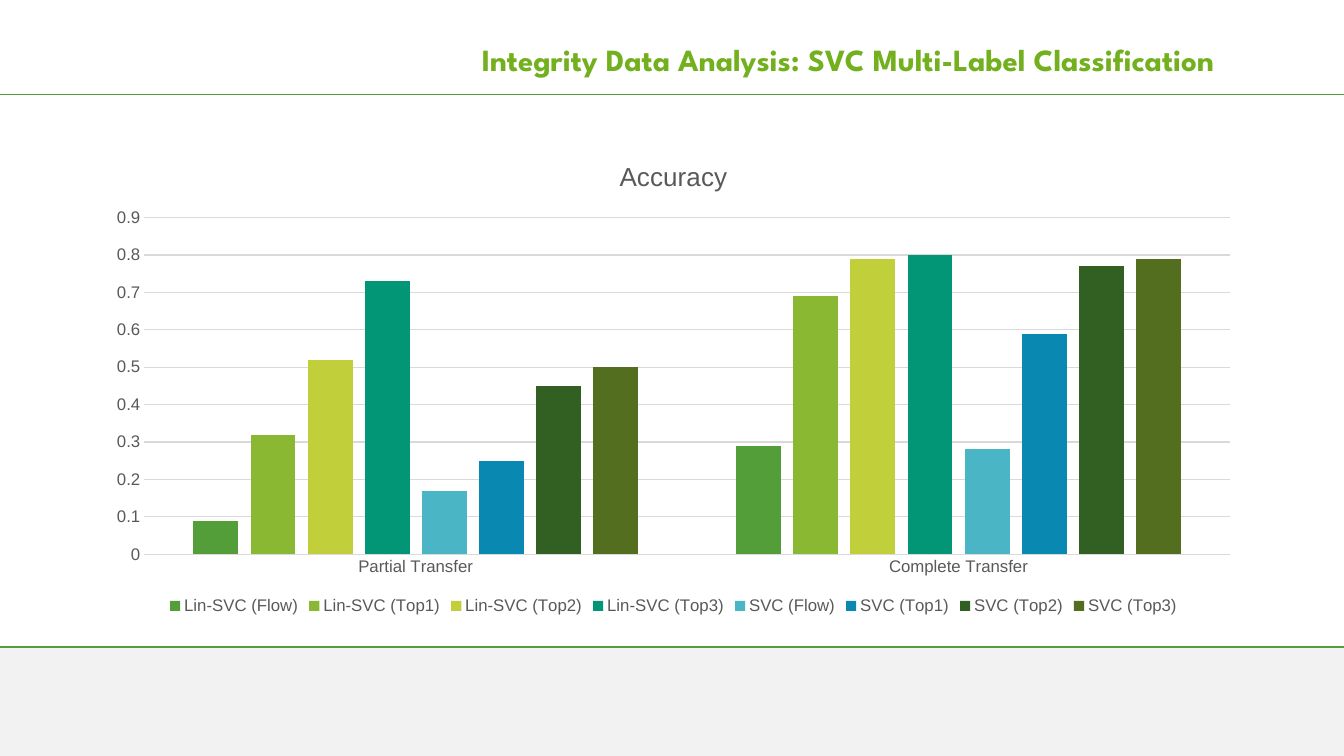
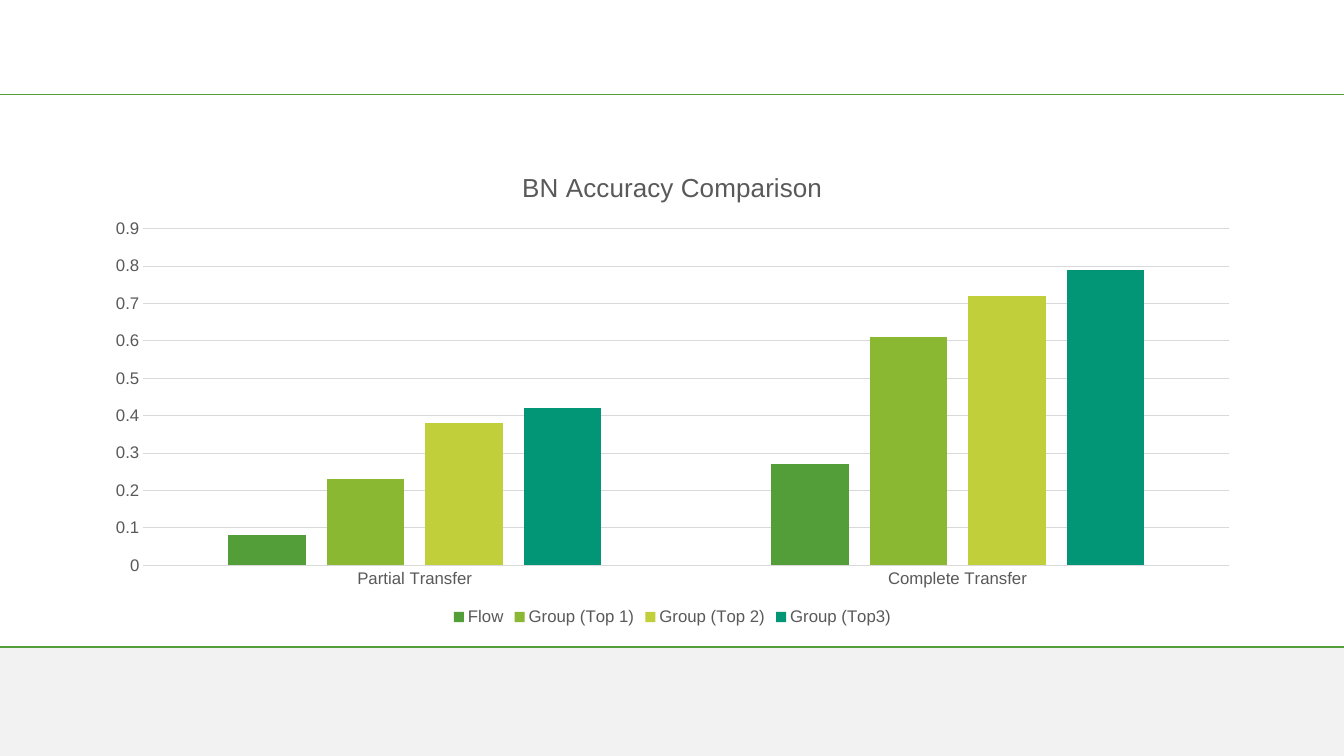
from lxml.etree import SubElement
from pptx import Presentation
from pptx.chart.data import CategoryChartData
from pptx.dml.color import RGBColor
from pptx.enum.chart import XL_CHART_TYPE, XL_LEGEND_POSITION, XL_TICK_MARK
from pptx.enum.shapes import MSO_CONNECTOR, MSO_SHAPE
from pptx.enum.text import MSO_ANCHOR, PP_ALIGN
from pptx.oxml.ns import qn
from pptx.util import Inches, Pt

GREEN, TITLE_GREEN, BAND_GREY = "549E39", "73B01E", "F2F2F2"
TEXT_GREY, GRID_GREY = "595959", "D9D9D9"
SERIES_COLOURS = [GREEN, "8AB833", "C0CF3A", "029676",
                  "4AB5C4", "0989B1", "325F22", "536E1F"]
TRANSFERS = ["Partial Transfer", "Complete Transfer"]
HEADER_Y, FOOTER_Y = Inches(0.94), Inches(6.42)

SLIDES = [
    {
        "heading": "Integrity Data Analysis: SVC Multi-Label Classification",
        "chart_title": "Accuracy",
        "corner": (0.93, 1.38),
        "accuracy": {
            "Lin-SVC (Flow)": (0.09, 0.29),
            "Lin-SVC (Top1)": (0.32, 0.69),
            "Lin-SVC (Top2)": (0.52, 0.79),
            "Lin-SVC (Top3)": (0.73, 0.8),
            "SVC (Flow)": (0.17, 0.28),
            "SVC (Top1)": (0.25, 0.59),
            "SVC (Top2)": (0.45, 0.77),
            "SVC (Top3)": (0.5, 0.79),
        },
    },
    {
        "heading": None,
        "chart_title": "BN Accuracy Comparison",
        "corner": (0.92, 1.49),
        "accuracy": {
            "Flow": (0.08, 0.27),
            "Group (Top 1)": (0.23, 0.61),
            "Group (Top 2)": (0.38, 0.72),
            "Group (Top3)": (0.42, 0.79),
        },
    },
]


def colour(hex_string):
    return RGBColor.from_string(hex_string)


def style_font(font, size, hex_string, name="Arial", bold=False):
    values = {"size": Pt(size), "name": name, "bold": bold}
    for attribute, value in values.items():
        setattr(font, attribute, value)
    font.color.rgb = colour(hex_string)


deck = Presentation()
deck.slide_width, deck.slide_height = Inches(13.33), Inches(7.5)
blank = deck.slide_layouts[6]

for content in SLIDES:
    slide = deck.slides.add_slide(blank)

    # Footer band and the two rules
    band = slide.shapes.add_shape(MSO_SHAPE.RECTANGLE, 0, FOOTER_Y,
                                  deck.slide_width, deck.slide_height - FOOTER_Y)
    band.shadow.inherit = False
    band.fill.solid()
    band.fill.fore_color.rgb = colour(BAND_GREY)
    band.line.fill.background()
    for y in (FOOTER_Y, HEADER_Y):
        rule = slide.shapes.add_connector(MSO_CONNECTOR.STRAIGHT, 0, y,
                                          deck.slide_width, y)
        rule.line.color.rgb = colour(GREEN)
        rule.line.width = Pt(1)
        SubElement(rule._element.spPr, qn("a:effectLst"))

    # Accuracy chart
    data = CategoryChartData()
    data.categories = TRANSFERS
    for name, values in content["accuracy"].items():
        data.add_series(name, values)
    left, top = content["corner"]
    chart = slide.shapes.add_chart(XL_CHART_TYPE.COLUMN_CLUSTERED, Inches(left),
                                   Inches(top), Inches(11.5), Inches(4.76),
                                   data).chart
    style_font(chart.font, 12, TEXT_GREY)

    chart.has_title = True
    chart_title = chart.chart_title
    chart_title.include_in_layout = False
    chart_title.text_frame.text = content["chart_title"]
    style_font(chart_title.text_frame.paragraphs[0].runs[0].font, 18.6, TEXT_GREY)

    chart.has_legend = True
    chart.legend.position = XL_LEGEND_POSITION.BOTTOM
    chart.legend.include_in_layout = False
    style_font(chart.legend.font, 12, TEXT_GREY)

    for axis in (chart.category_axis, chart.value_axis):
        axis.major_tick_mark = axis.minor_tick_mark = XL_TICK_MARK.NONE
        style_font(axis.tick_labels.font, 12, TEXT_GREY)
    scale = chart.value_axis
    scale.minimum_scale, scale.maximum_scale, scale.major_unit = 0, 0.9, 0.1
    scale.format.line.fill.background()
    scale.has_major_gridlines = True
    for line in (chart.category_axis.format.line, scale.major_gridlines.format.line):
        line.color.rgb = colour(GRID_GREY)
        line.width = Pt(0.75)

    columns = chart.plots[0]
    columns.gap_width, columns.overlap = 219, -27
    columns.vary_by_categories = False
    for series, hex_string in zip(columns.series, SERIES_COLOURS):
        series.format.fill.solid()
        series.format.fill.fore_color.rgb = colour(hex_string)

    # Slide heading
    if content["heading"]:
        heading = slide.shapes.add_textbox(Inches(4.05), Inches(0.4),
                                           Inches(8.09), Inches(0.43)).text_frame
        heading.word_wrap = True
        heading.vertical_anchor = MSO_ANCHOR.MIDDLE
        paragraph = heading.paragraphs[0]
        paragraph.text = content["heading"]
        paragraph.alignment = PP_ALIGN.RIGHT
        paragraph.line_spacing = 0.9
        style_font(paragraph.runs[0].font, 22, TITLE_GREEN, "League Spartan", True)

deck.save("out.pptx")
